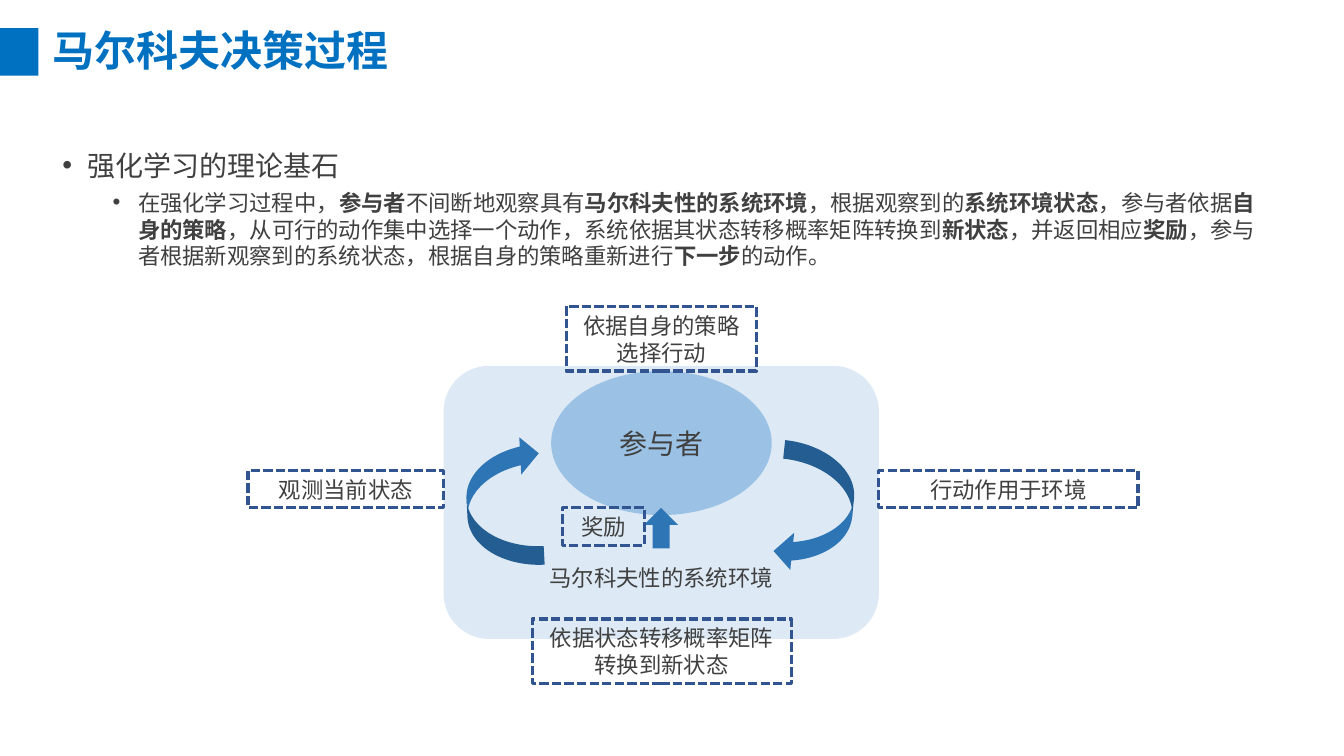
"""Build the slide on the Markov decision process."""
from pptx import Presentation, util as u
from pptx.dml.color import RGBColor
from pptx.enum import dml, shapes, text
from pptx.oxml.ns import qn
from lxml import etree


class Look:
    face = "Noto Sans CJK SC"
    blue, ink, edge = "0070C0", "404040", "325491"
    pale, mid, deep = "BDD7EE", "5B9BD5", "2E75B6"
    head, large, small = 30, 20, 16


def style(para, size, color=Look.ink):
    font = para.font
    font.name, font.size = Look.face, u.Pt(size)
    font.color.rgb = RGBColor.from_string(color)
    east = etree.SubElement(para._p.pPr.find(qn("a:defRPr")), qn("a:ea"))
    east.set("typeface", Look.face)


def draw(kind, place, fill=None, alpha=None, words="", size=Look.small):
    shape = slide.shapes.add_shape(kind, *map(u.Cm, place))
    shape.shadow.inherit = False
    if fill:
        shape.fill.solid()
        shape.fill.fore_color.rgb = RGBColor.from_string(fill)
        shape.line.fill.background()
    else:
        shape.fill.background()
        shape.line.color.rgb = RGBColor.from_string(Look.edge)
        shape.line.width = u.Pt(2.25)
        shape.line.dash_style = dml.MSO_LINE.SQUARE_DOT
    if alpha:
        tint = shape.fill._xPr.find(".//" + qn("a:srgbClr"))
        etree.SubElement(tint, qn("a:alpha")).set("val", str(alpha * 1000))
    if words:
        frame = shape.text_frame
        frame.word_wrap = True
        frame.vertical_anchor = text.MSO_ANCHOR.MIDDLE
        para = frame.paragraphs[0]
        para.text, para.alignment = words, text.PP_ALIGN.CENTER
        style(para, size)
    return shape


deck = Presentation()
deck.slide_width, deck.slide_height = u.Cm(33.87), u.Cm(19.05)
slide = deck.slides.add_slide(deck.slide_layouts[5])
kinds = shapes.MSO_SHAPE

draw(kinds.RECTANGLE, (0, 0.71, 0.97, 1.2), Look.blue)
title = slide.shapes.title
title.left, title.top, title.width, title.height = map(u.Cm, (1.32, 0.84, 25.55, 0.97))
frame = title.text_frame
frame.auto_size = text.MSO_AUTO_SIZE.NONE
frame.vertical_anchor = text.MSO_ANCHOR.MIDDLE
frame.margin_left = frame.margin_right = frame.margin_top = frame.margin_bottom = 0
para = frame.paragraphs[0]
para.text, para.alignment, para.line_spacing = "马尔科夫决策过程", text.PP_ALIGN.LEFT, 0.9
style(para, Look.head, Look.blue)
para.font.bold = True

points = [
    (0.64, 0, Look.large, ["强化学习的理论基石"]),
    (1.91, 5, Look.small, [
        "在强化学习过程中，", "参与者", "不间断地观察具有", "马尔科夫性的系统环境",
        "，根据观察到的", "系统环境状态", "，参与者依据", "自身的策略",
        "，从可行的动作集中选择一个动作，系统依据其状态转移概率矩阵转换到", "新状态",
        "，并返回相应", "奖励", "，参与者根据新观察到的系统状态，根据自身的策略重新进行",
        "下一步", "的动作。"]),
]
body = slide.shapes.add_textbox(*map(u.Cm, (1.32, 3.61, 30.78, 13.23))).text_frame
body.word_wrap = True
for rank, (left, gap, size, parts) in enumerate(points):
    para = body.add_paragraph() if rank else body.paragraphs[0]
    para.level = rank
    props = para._p.get_or_add_pPr()
    props.set("marL", str(u.Cm(left)))
    props.set("indent", str(-u.Cm(0.64)))
    etree.SubElement(props, qn("a:buFont")).set("typeface", "Arial")
    etree.SubElement(props, qn("a:buChar")).set("char", "•")
    if gap:
        para.space_before = u.Pt(gap)
    style(para, size)
    for turn, part in enumerate(parts):
        run = para.add_run()
        run.text = part
        if turn % 2:
            run.font.bold = True

world = draw(kinds.ROUNDED_RECTANGLE, (11.18, 9.22, 10.97, 6.88), Look.pale, 50,
             "马尔科夫性的系统环境")
world.text_frame.vertical_anchor = text.MSO_ANCHOR.BOTTOM
world.text_frame.margin_bottom = u.Cm(0.86)
draw(kinds.OVAL, (13.89, 9.35, 5.56, 3.63), Look.mid, 50, "参与者", Look.large)

for left, top, turn in ((11.76, 11, 177), (19.61, 11.18, 6)):
    arrow = draw(kinds.CURVED_LEFT_ARROW, (left, top, 1.88, 3.28), Look.deep)
    arrow.rotation = turn
draw(kinds.UP_ARROW, (16.23, 12.8, 0.86, 1.02), Look.deep)

labels = [
    ("依据自身的策略选择行动", 14.27, 7.72, 4.8, 1.63),
    ("观测当前状态", 6.25, 11.86, 4.93, 0.94),
    ("行动作用于环境", 22.15, 11.86, 6.53, 0.94),
    ("依据状态转移概率矩阵转换到新状态", 13.41, 15.6, 6.53, 1.63),
    ("奖励", 14.17, 12.8, 2.08, 0.94),
]
for words, *place in labels:
    draw(kinds.RECTANGLE, place, words=words)

deck.save("out.pptx")
